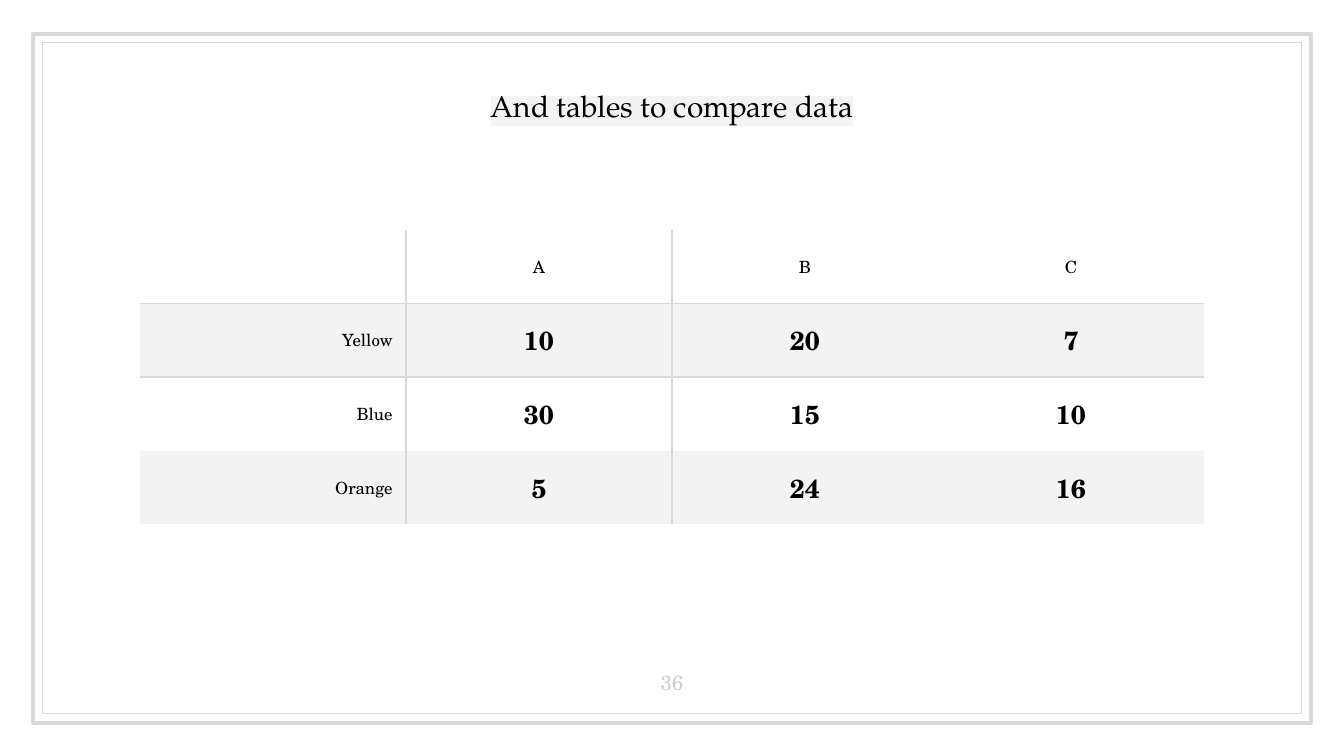
"""Build a slide with a framed title and a table comparing data."""
from lxml.etree import SubElement
from pptx import Presentation
from pptx.dml.color import RGBColor
from pptx.enum.shapes import MSO_SHAPE
from pptx.enum.text import MSO_ANCHOR, PP_ALIGN
from pptx.oxml import parse_xml
from pptx.oxml.ns import nsdecls, qn
from pptx.util import Pt

COLORS = {"text": "000000", "line": "D9D9D9", "band": "F3F3F3", "white": "FFFFFF", "number": "CCCCCC"}
TITLE_FONT = "TeX Gyre Pagella"
BODY_FONT = "TeX Gyre Schola"


def style_paragraph(paragraph, font_name, size, color, alignment=PP_ALIGN.CENTER, bold=False):
    paragraph.alignment = alignment
    paragraph.font.name = font_name
    paragraph.font.size = Pt(size)
    paragraph.font.bold = bold
    paragraph.font.color.rgb = RGBColor.from_string(COLORS[color])


def add_border(cell, side):
    properties = cell._tc.get_or_add_tcPr()
    border = SubElement(properties, qn(f"a:ln{side}"), w=str(Pt(0.75)))
    fill = SubElement(border, qn("a:solidFill"))
    SubElement(fill, qn("a:srgbClr"), val=COLORS["line"])


presentation = Presentation()
presentation.slide_width = Pt(720)
presentation.slide_height = Pt(405)
slide = presentation.slides.add_slide(presentation.slide_layouts[6])

for left, top, width, height, line_width in [
    (17.5, 18, 685, 369.5, 2.25),
    (22.75, 22.75, 674.5, 359.5, 0.75),
]:
    frame = slide.shapes.add_shape(MSO_SHAPE.RECTANGLE, Pt(left), Pt(top), Pt(width), Pt(height))
    frame.shadow.inherit = False
    frame.fill.background()
    frame.line.color.rgb = RGBColor.from_string(COLORS["line"])
    frame.line.width = Pt(line_width)

for text, left, top, width, height, anchor, font_name, size, color in [
    ("And tables to compare data", 30.6, 26.8, 658.8, 60, MSO_ANCHOR.MIDDLE, TITLE_FONT, 16, "text"),
    ("36", 338.4, 348, 43.2, 31, MSO_ANCHOR.BOTTOM, BODY_FONT, 11, "number"),
]:
    text_box = slide.shapes.add_textbox(Pt(left), Pt(top), Pt(width), Pt(height))
    text_frame = text_box.text_frame
    text_frame.word_wrap = True
    text_frame.vertical_anchor = anchor
    text_frame.margin_left = text_frame.margin_right = Pt(7.2)
    text_frame.margin_top = text_frame.margin_bottom = Pt(7.2)
    paragraph = text_frame.paragraphs[0]
    run = paragraph.add_run()
    run.text = text
    style_paragraph(paragraph, font_name, size, color)
    if color == "text":
        highlight = parse_xml(
            f'<a:highlight {nsdecls("a")}><a:srgbClr val="{COLORS["band"]}"/></a:highlight>'
        )
        run.font._element.append(highlight)

rows = [
    ["", "A", "B", "C"],
    ["Yellow", "10", "20", "7"],
    ["Blue", "30", "15", "10"],
    ["Orange", "5", "24", "16"],
]
graphic_frame = slide.shapes.add_table(4, 4, Pt(75), Pt(123), Pt(570), Pt(158))
table = graphic_frame.table
table.first_row = False
table.horz_banding = False
table._tbl.tblPr.find(qn("a:tableStyleId")).text = "{2D5ABB26-0587-4C30-8999-92F81FD0307C}"
for column in table.columns:
    column.width = Pt(142.5)
for row in table.rows:
    row.height = Pt(39.5)

for row_index, values in enumerate(rows):
    for column_index, value in enumerate(values):
        cell = table.cell(row_index, column_index)
        cell.text = value
        cell.vertical_anchor = MSO_ANCHOR.MIDDLE
        cell.margin_left = cell.margin_right = Pt(7.2)
        cell.margin_top = cell.margin_bottom = Pt(5)
        is_number = row_index > 0 and column_index > 0
        alignment = PP_ALIGN.CENTER if column_index else PP_ALIGN.RIGHT
        size = 14 if is_number else 9
        style_paragraph(cell.text_frame.paragraphs[0], BODY_FONT, size, "text", alignment, is_number)
        for side, applies in [
            ("L", column_index == 1),
            ("R", column_index == 0),
            ("T", row_index == 1),
            ("B", row_index == 0),
        ]:
            if applies:
                add_border(cell, side)
        if row_index == 0:
            cell.fill.background()
        else:
            cell.fill.solid()
            cell.fill.fore_color.rgb = RGBColor.from_string(COLORS["band" if row_index % 2 else "white"])

presentation.save("out.pptx")
